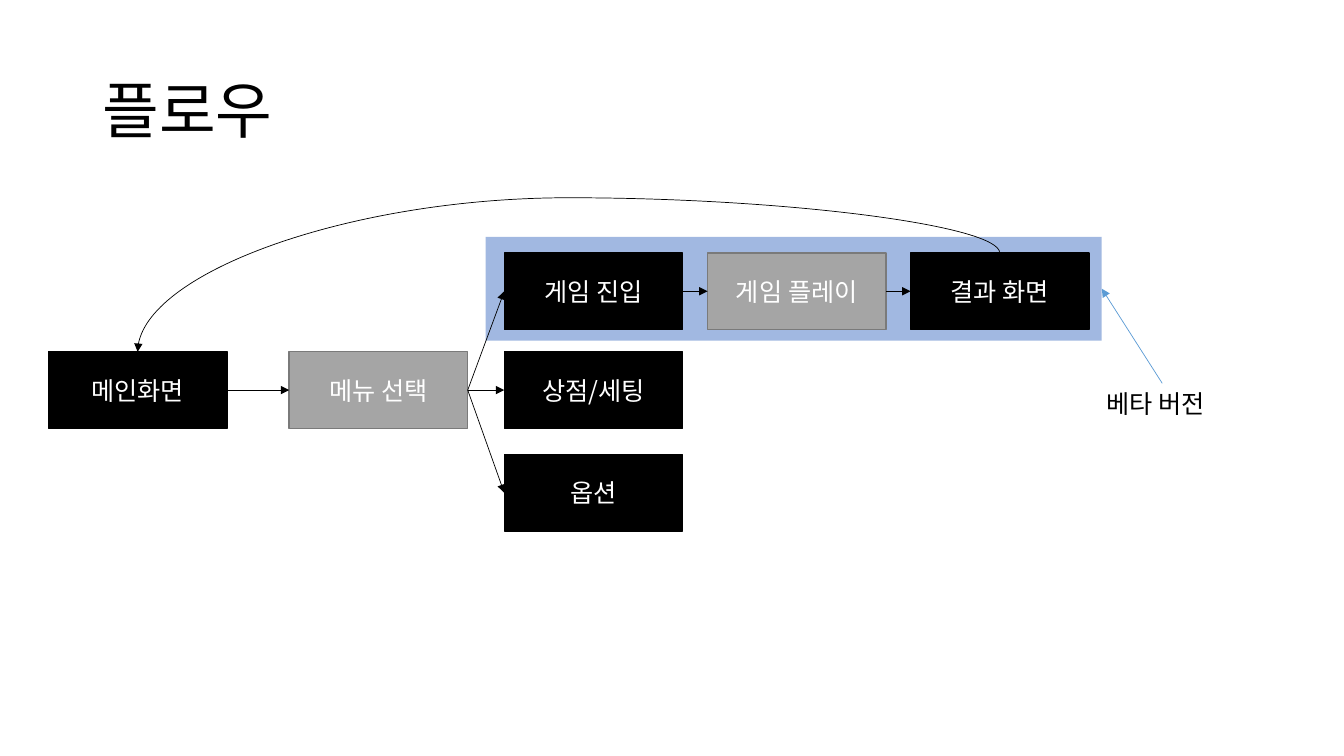
from lxml import etree
from pptx import Presentation
from pptx.dml.color import RGBColor
from pptx.enum.shapes import MSO_CONNECTOR, MSO_SHAPE
from pptx.enum.text import MSO_ANCHOR, PP_ALIGN
from pptx.oxml.ns import qn
from pptx.util import Pt

RECT = MSO_SHAPE.RECTANGLE
LINE, CURVE = MSO_CONNECTOR.STRAIGHT, MSO_CONNECTOR.CURVE
MID, LEFT, MIDDLE = MSO_ANCHOR.MIDDLE, PP_ALIGN.LEFT, PP_ALIGN.CENTER
FONT = "Noto Sans CJK KR"
BLACK, WHITE, GRAY, EDGE = "000000", "FFFFFF", "A5A5A5", "7A7A7A"
rgb = RGBColor.from_string


def write(shape, text, size, color, align):
    frame = shape.text_frame
    frame.text = text
    frame.vertical_anchor = MID
    para = frame.paragraphs[0]
    para.alignment = align
    run = para.runs[0]
    for key, value in {"name": FONT, "size": Pt(size)}.items():
        setattr(run.font, key, value)
    run.font.color.rgb = rgb(color)
    etree.SubElement(run.font._element, qn("a:ea"), typeface=FONT)


def arrow(kind, x1, y1, x2, y2, color):
    link = slide.shapes.add_connector(kind, Pt(x1), Pt(y1), Pt(x2), Pt(y2))
    link.line.width = Pt(0.5)
    link.line.color.rgb = rgb(color)
    etree.SubElement(link.line._get_or_add_ln(), qn("a:tailEnd"), type="triangle")
    etree.SubElement(link._element.spPr, qn("a:effectLst"))
    return link


deck = Presentation()
deck.slide_width, deck.slide_height = Pt(960), Pt(540)
slide = deck.slides.add_slide(deck.slide_layouts[5])

title = slide.shapes.title
place = {"left": 66, "top": 28.75, "width": 828, "height": 104.4}
for key, value in place.items():
    setattr(title, key, Pt(value))
write(title, "플로우", 44, BLACK, LEFT)
title.text_frame.paragraphs[0].line_spacing = 0.9

# Half-clear panel around the beta scope
panel = slide.shapes.add_shape(RECT, Pt(347), Pt(169.2), Pt(440), Pt(74.2))
panel.shadow.inherit = False
panel.fill.solid()
panel.fill.fore_color.rgb = rgb("4472C4")
tint = panel._element.spPr.find(".//" + qn("a:srgbClr"))
etree.SubElement(tint, qn("a:alpha"), val="50000")
panel.line.fill.background()

# Flow steps: name, left, top, fill, outline
WIDE, HIGH = 127.5, 54.7
TOP, CORE, LOW = 180.7, 251.3, 324.7
steps = [
    ("메인화면", 34.6, CORE, BLACK, BLACK),
    ("메뉴 선택", 206.6, CORE, GRAY, EDGE),
    ("게임 진입", 360.2, TOP, BLACK, BLACK),
    ("상점/세팅", 360.2, CORE, BLACK, BLACK),
    ("옵션", 360.2, LOW, BLACK, BLACK),
    ("게임 플레이", 505.4, TOP, GRAY, EDGE),
    ("결과 화면", 650.4, TOP, BLACK, BLACK),
]
boxes, spots = {}, {}
for name, left, top, fill, edge in steps:
    box = slide.shapes.add_shape(RECT, Pt(left), Pt(top), Pt(WIDE), Pt(HIGH))
    box.shadow.inherit = False
    box.fill.solid()
    box.fill.fore_color.rgb = rgb(fill)
    box.line.color.rgb = rgb(edge)
    box.line.width = Pt(1)
    write(box, name, 18, WHITE, MIDDLE)
    boxes[name], spots[name] = box, (left, top)

links = [
    ("메인화면", "메뉴 선택"),
    ("메뉴 선택", "게임 진입"),
    ("메뉴 선택", "상점/세팅"),
    ("메뉴 선택", "옵션"),
    ("게임 진입", "게임 플레이"),
    ("게임 플레이", "결과 화면"),
]
for start, end in links:
    link = arrow(LINE, 0, 0, 0, 0, BLACK)
    link.begin_connect(boxes[start], 3)
    link.end_connect(boxes[end], 1)

# Return arc: a curve turned by 270 degrees, so its box has width and height swapped
(x1, y1), (x2, y2) = spots["결과 화면"], spots["메인화면"]
midx, midy = (x1 + x2 + WIDE) / 2, (y1 + y2) / 2
halfx, halfy = (x1 - x2) / 2, (y2 - y1) / 2
arc = arrow(CURVE, midx + halfy, midy + halfx, midx - halfy, midy - halfx, BLACK)
arc._element.spPr.find(qn("a:xfrm")).set("rot", str(270 * 60000))
bend = arc._element.spPr.find(qn("a:prstGeom")).find(qn("a:avLst"))
etree.SubElement(bend, qn("a:gd"), name="adj1", fmla="val -55900")

note = slide.shapes.add_textbox(Pt(783.4), Pt(273.8), Pt(93.6), Pt(29))
write(note, "베타 버전", 18, BLACK, LEFT)
note.text_frame.word_wrap = False
arrow(LINE, 830.2, 273.8, 787, 206.2, "5B9BD5")

deck.save("out.pptx")
